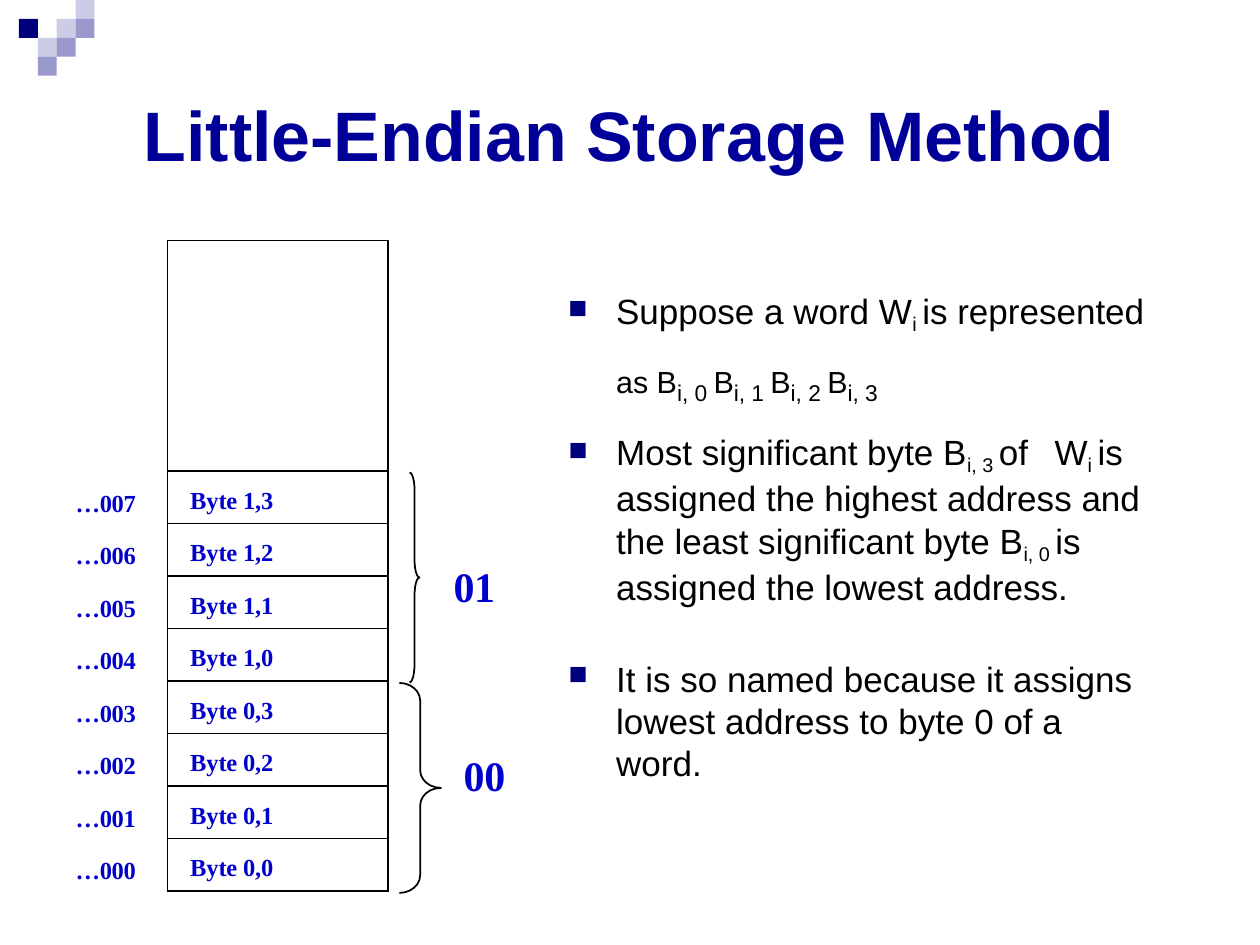
from dataclasses import dataclass

import lxml.etree
import pptx
import pptx.dml.color
import pptx.enum.shapes
import pptx.enum.text
import pptx.oxml.ns
import pptx.util

Inches = pptx.util.Inches
Pt = pptx.util.Pt
RGBColor = pptx.dml.color.RGBColor
Kind = pptx.enum.shapes.MSO_SHAPE
qn = pptx.oxml.ns.qn

NAVY = RGBColor(0x00, 0x00, 0x7D)
TITLE = RGBColor(0x00, 0x00, 0x99)
BLUE = RGBColor(0x00, 0x00, 0xCC)
MID = RGBColor(0x99, 0x99, 0xCC)
LIGHT = RGBColor(0xCC, 0xCC, 0xE6)
BLACK = RGBColor(0, 0, 0)
SERIF = "Times New Roman"
SIDE = 0.15
ROW = 1.25 / 3
TOP = 1.91
HEAD = 1.83


@dataclass
class Tile:
    col: int
    row: int
    color: RGBColor


@dataclass
class Run:
    text: str
    size: float = 20
    base: int = 0


@dataclass
class Point:
    left: float
    top: float
    width: float
    height: float
    indent: float
    runs: list[Run]
    tabs: tuple[float, ...] = ()
    lines: float | None = None


@dataclass
class Word:
    name: str
    left: float
    top: float
    brace: float
    width: float
    start: float


def add(parent, tag: str, **attrs: str):
    node = lxml.etree.SubElement(parent, qn(tag))
    for key, value in attrs.items():
        node.set(key, value)
    return node


def write(frame, text: str | list[Run], *, size: float = 20, font: str = "Arial",
          color: RGBColor = BLACK, bold: bool = False, left: float = 0,
          spc: int = 0, lines: float | None = None) -> None:
    para = frame.paragraphs[0]
    para.line_spacing = lines
    para._p.get_or_add_pPr().set("marL", str(Inches(left)))
    for part in [Run(text, size)] if isinstance(text, str) else text:
        run = para.add_run()
        run.text = part.text
        run.font.size = Pt(part.size)
        run.font.name = font
        run.font.bold = bold
        run.font.color.rgb = color
        props = run._r.get_or_add_rPr()
        if spc:
            props.set("spc", str(spc))
        if part.base:
            props.set("baseline", str(part.base * 1000))


def box(slide, left: float, top: float, width: float, height: float):
    shape = slide.shapes.add_textbox(
        Inches(left), Inches(top), Inches(width), Inches(height))
    frame = shape.text_frame
    frame.word_wrap = True
    frame.margin_left = frame.margin_right = frame.margin_bottom = 0
    frame.margin_top = Inches(0.01)
    return frame


def tile(slide, item: Tile) -> None:
    shape = slide.shapes.add_shape(
        Kind.RECTANGLE, Inches(item.col * SIDE), Inches(item.row * SIDE),
        Inches(SIDE), Inches(SIDE))
    shape.shadow.inherit = False
    shape.fill.solid()
    shape.fill.fore_color.rgb = item.color
    shape.line.fill.background()


def point(slide, item: Point) -> None:
    frame = box(slide, item.left, item.top, item.width, item.height)
    write(frame, item.runs, left=item.indent, lines=item.lines)
    props = frame.paragraphs[0]._p.get_or_add_pPr()
    props.set("indent", str(Inches(-0.38)))
    add(add(props, "a:buClr"), "a:srgbClr", val=str(NAVY))
    add(props, "a:buSzPct", val="75000")
    add(props, "a:buChar", char="■")
    stops = add(props, "a:tabLst")
    for stop in (item.indent, *item.tabs):
        add(stops, "a:tab", pos=str(Inches(stop)), algn="l")


def border(cell) -> None:
    props = cell._tc.get_or_add_tcPr()
    for tag in ("a:lnL", "a:lnR", "a:lnT", "a:lnB"):
        line = add(props, tag, w=str(Pt(1)))
        add(add(line, "a:solidFill"), "a:srgbClr", val=str(BLACK))
    cell.fill.background()


def memory(slide, names: list[str]) -> None:
    table = slide.shapes.add_table(
        len(names) + 1, 1, Inches(1.33), Inches(TOP), Inches(1.75),
        Inches(HEAD + ROW * len(names))).table
    table.first_row = table.horz_banding = False
    for index, name in enumerate(["", *names]):
        table.rows[index].height = Inches(ROW if index else HEAD)
        cell = table.cell(index, 0)
        border(cell)
        cell.margin_left = cell.margin_right = cell.margin_bottom = 0
        cell.margin_top = Inches(0.13)
        if name:
            write(cell.text_frame, name, size=14, font=SERIF, color=BLUE,
                  bold=True, left=0.18, spc=-10)


def word(slide, item: Word) -> None:
    shape = slide.shapes.add_shape(
        Kind.RIGHT_BRACE, Inches(item.brace), Inches(item.start),
        Inches(item.width), Inches(4 * ROW))
    shape.shadow.inherit = False
    shape.adjustments[0] = 0.14 / item.width
    shape.fill.background()
    shape.line.color.rgb = BLACK
    shape.line.width = Pt(1)
    write(box(slide, item.left, item.top, 0.36, 0.43), item.name, size=24,
          font=SERIF, color=BLUE, bold=True, left=0.01, spc=-20)


def sub(text: str) -> Run:
    return Run(text, 19.5, -21)


TILES = [
    Tile(3, 1, LIGHT), Tile(4, 0, LIGHT), Tile(4, 1, MID), Tile(2, 2, LIGHT),
    Tile(1, 1, NAVY), Tile(3, 2, MID), Tile(2, 3, MID),
]
BYTES = [run for i in range(4)
         for run in (Run("as B" if i == 0 else "B", 30, 14),
                     Run(f"i, {i}" + (" " if i < 3 else ""), 13))]
POINTS = [
    Point(4.47, 2.21, 4.7, 0.83, 0.42,
          [Run("Suppose a word W"), sub("i "), Run("is represented "), *BYTES],
          lines=1.21),
    Point(4.47, 3.41, 4.62, 1.36, 0.42,
          [Run("Most significant byte B"), sub("i, 3 "), Run("of\tW"),
           sub("i "), Run("is assigned the highest address and "
                          "the least significant byte B"),
           sub("i, 0 "), Run("is assigned the lowest address.")],
          tabs=(3.9,)),
    Point(4.5, 5.21, 4.69, 0.7, 0.39,
          [Run("It is so named because it assigns "
               "lowest address to byte 0 of a word.")]),
]
WORDS = [
    Word("00", 3.67, 5.94, 3.17, 0.33, 5.42),
    Word("01", 3.59, 4.44, 3.25, 0.08, 3.75),
]


def main() -> None:
    deck = pptx.Presentation()
    deck.slide_width = Inches(10)
    deck.slide_height = Inches(7.5)
    slide = deck.slides.add_slide(deck.slide_layouts[6])
    for item in TILES:
        tile(slide, item)
    write(box(slide, 0.79, 0.72, 8.42, 0.69), "Little-Endian Storage Method",
          size=40, color=TITLE, bold=True, left=0.35)
    for item in POINTS:
        point(slide, item)
    memory(slide, [f"Byte {i // 4},{i % 4}" for i in range(7, -1, -1)])
    for item in WORDS:
        word(slide, item)
    for i in range(8):
        write(box(slide, 0.59, 3.86 + (7 - i) * ROW, 0.52, 0.26), f"…00{i}",
              size=14, font=SERIF, color=BLUE, bold=True, left=0.01, spc=-20)
    deck.save("out.pptx")


if __name__ == "__main__":
    main()
